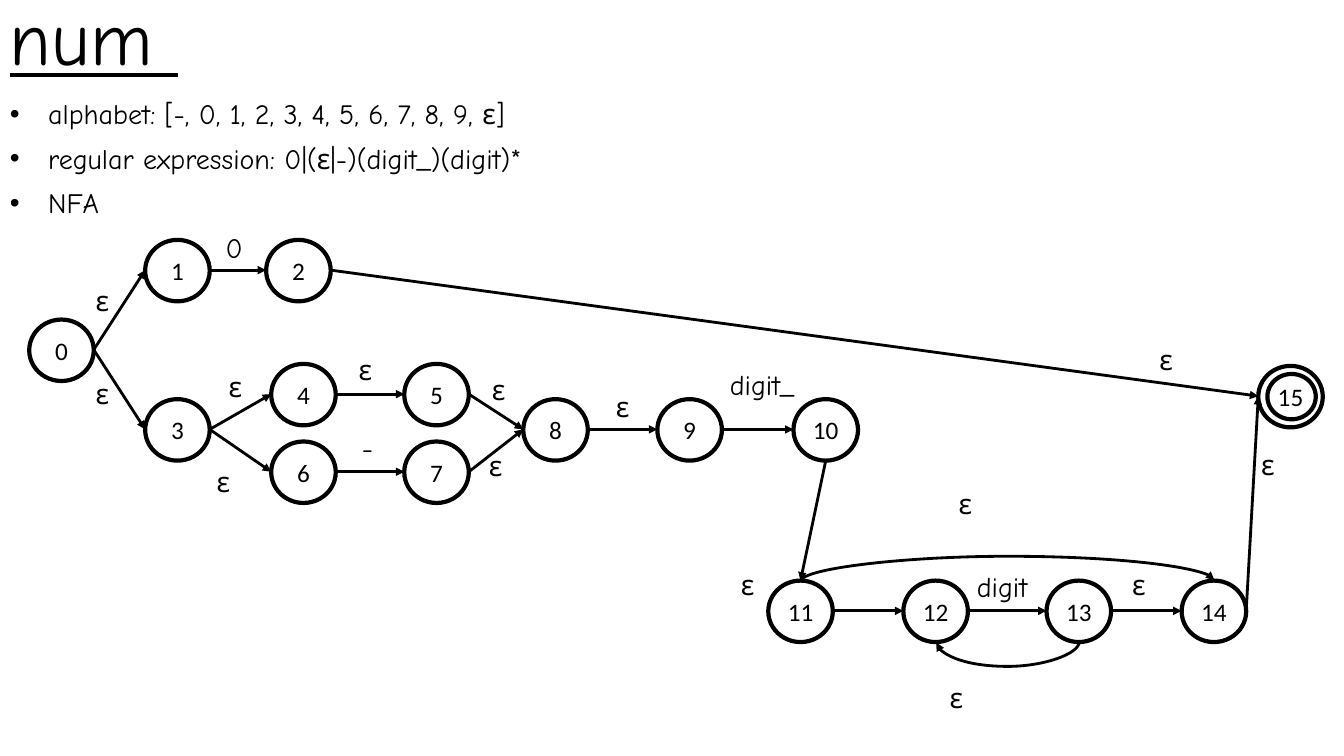
from pptx import Presentation
from pptx.dml.color import RGBColor
from pptx.enum.shapes import MSO_CONNECTOR, MSO_SHAPE
from pptx.enum.text import MSO_ANCHOR, PP_ALIGN
from pptx.oxml.ns import qn
from pptx.util import Pt
from lxml import etree

PX = 9144  # 100 px to the inch
STRAIGHT, CURVE = MSO_CONNECTOR.STRAIGHT, MSO_CONNECTOR.CURVE
OVAL = MSO_SHAPE.OVAL
MIDDLE, BOTTOM = MSO_ANCHOR.MIDDLE, MSO_ANCHOR.BOTTOM
CENTER = PP_ALIGN.CENTER
COLORS = {"ink": "000000", "paper": "FFFFFF"}
INK = RGBColor.from_string(COLORS["ink"])
HAND_FONT, STATE_FONT = "Comic Neue", "Calibri"
STATE_W, STATE_H = 64, 61

deck = Presentation()
deck.slide_width, deck.slide_height = 1333 * PX, 750 * PX
page = deck.slides.add_slide(deck.slide_layouts[6])
page.background.fill.solid()
page.background.fill.fore_color.rgb = RGBColor.from_string(COLORS["paper"])


def add_text(text, left, top, width, height, size=20, space=10):
    box = page.shapes.add_textbox(left * PX, top * PX, width * PX, height * PX)
    frame = box.text_frame
    frame.word_wrap = True
    frame.text = text
    for para in frame.paragraphs:
        para.line_spacing = 0.9
        para.space_before = Pt(space)
        para.font.size = Pt(size)
        for span in para.runs:
            span.font.size = Pt(size)
            span.font.name = HAND_FONT
            span.font.color.rgb = INK
    return frame


def add_arrow(kind, x1, y1, x2, y2):
    arrow = page.shapes.add_connector(kind, x1 * PX, y1 * PX, x2 * PX, y2 * PX)
    arrow.line.color.rgb = INK
    arrow.line.width = Pt(2)
    shape_props = arrow._element.spPr
    etree.SubElement(shape_props.find(qn("a:ln")), qn("a:tailEnd"), type="triangle")
    etree.SubElement(shape_props, qn("a:effectLst"))
    return shape_props


# Title
title = add_text("num ", 0, 0, 1000, 86, size=54, space=0)
title.vertical_anchor = BOTTOM
title.paragraphs[0].runs[0].font.underline = True

# Bulleted description
bullets = add_text(
    "alphabet: [-, 0, 1, 2, 3, 4, 5, 6, 7, 8, 9, ε]\n"
    "regular expression: 0|(ε|-)(digit_)(digit)*\n"
    "NFA", 0, 95, 1333, 120)
for para in bullets.paragraphs:
    para_props = para._p.get_or_add_pPr()
    para_props.set("marL", str(38 * PX))
    para_props.set("indent", str(-38 * PX))
    bullet_font = etree.Element(qn("a:buFont"), typeface="Arial")
    bullet_char = etree.Element(qn("a:buChar"), char="•")
    para_props.find(qn("a:spcBef")).addnext(bullet_font)
    bullet_font.addnext(bullet_char)

# States: left and top of each, by number
states = [
    (29, 317), (144, 238), (264, 238), (144, 396),
    (269, 361), (401, 361), (269, 438), (401, 438),
    (519, 396), (652, 396), (787, 396), (762, 576),
    (896, 576), (1038, 576), (1172, 576), (1248, 363),
]
ovals = [(str(number), left, top, STATE_W, STATE_H)
         for number, (left, top) in enumerate(states)]
ovals.append(("", 1257, 371, 48, 45))  # inner ring of the accepting state
for name, left, top, width, height in ovals:
    oval = page.shapes.add_shape(OVAL, left * PX, top * PX, width * PX, height * PX)
    oval.shadow.inherit = False
    oval.fill.background()
    oval.line.color.rgb = INK
    oval.line.width = Pt(3)
    if name:
        frame = oval.text_frame
        frame.word_wrap = False
        frame.vertical_anchor = MIDDLE
        frame.text = name
        para = frame.paragraphs[0]
        para.alignment = CENTER
        font = para.runs[0].font
        font.name, font.size = STATE_FONT, Pt(18)
        font.color.rgb = INK

# Transitions from the right side of one state to the left side of the next
transitions = [
    (0, 1), (0, 3), (1, 2), (2, 15), (3, 4), (3, 6), (4, 5), (6, 7), (5, 8),
    (7, 8), (8, 9), (9, 10), (11, 12), (12, 13), (13, 14), (14, 15),
]
for start, end in transitions:
    (x1, y1), (x2, y2) = states[start], states[end]
    add_arrow(STRAIGHT, x1 + STATE_W, y1 + STATE_H // 2, x2, y2 + STATE_H // 2)

# Transition down from state 10 to state 11
(x1, y1), (x2, y2) = states[10], states[11]
add_arrow(STRAIGHT, x1 + STATE_W // 2, y1 + STATE_H, x2 + STATE_W // 2, y2)

# Curved transitions: one-px-wide connectors turned by 90°, bulging 25 px
for left, top, span_length, flipped in [(999, 371, 410, True), (999, 566, 142, False)]:
    shape_props = add_arrow(CURVE, left, top, left + 1, top + span_length)
    frame_props = shape_props.find(qn("a:xfrm"))
    frame_props.set("rot", str(90 * 60000))
    if flipped:
        frame_props.set("flipH", "1")
        frame_props.set("flipV", "1")
    adjustments = shape_props.find(qn("a:prstGeom")).find(qn("a:avLst"))
    etree.SubElement(adjustments, qn("a:gd"), name="adj1", fmla="val 2500000")

# Transition labels
labels = [
    ("0", 214, 228), ("-", 349, 426),
    ("ε", 85, 280), ("ε", 85, 372), ("ε", 217, 365), ("ε", 205, 460),
    ("ε", 346, 349), ("ε", 478, 368), ("ε", 475, 444), ("ε", 601, 385),
    ("ε", 725, 562), ("ε", 941, 481), ("ε", 932, 674), ("ε", 1113, 562),
    ("ε", 1140, 339), ("ε", 1241, 443),
]
for text, left, top in labels:
    add_text(text, left, top, 60, 69)
add_text("digit_", 714, 363, 97, 41)
add_text("digit", 959, 564, 77, 61)

deck.save("out.pptx")
